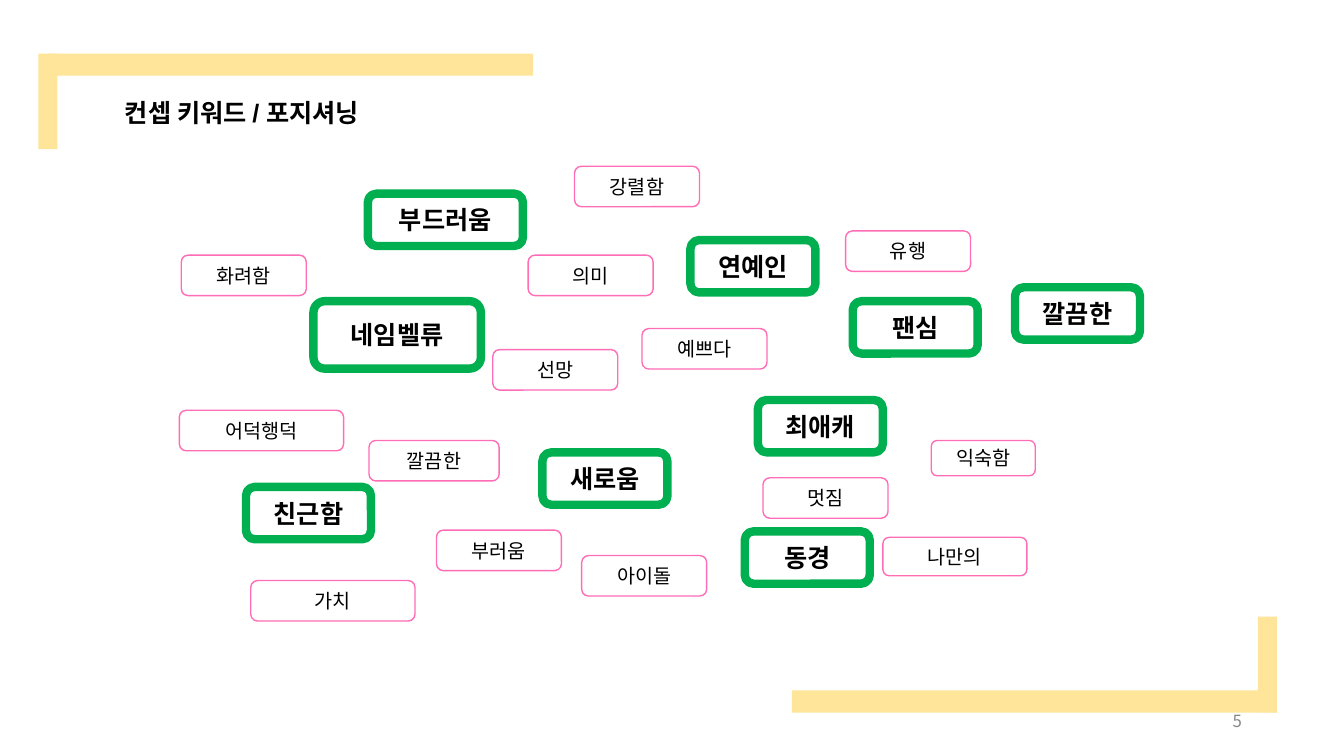
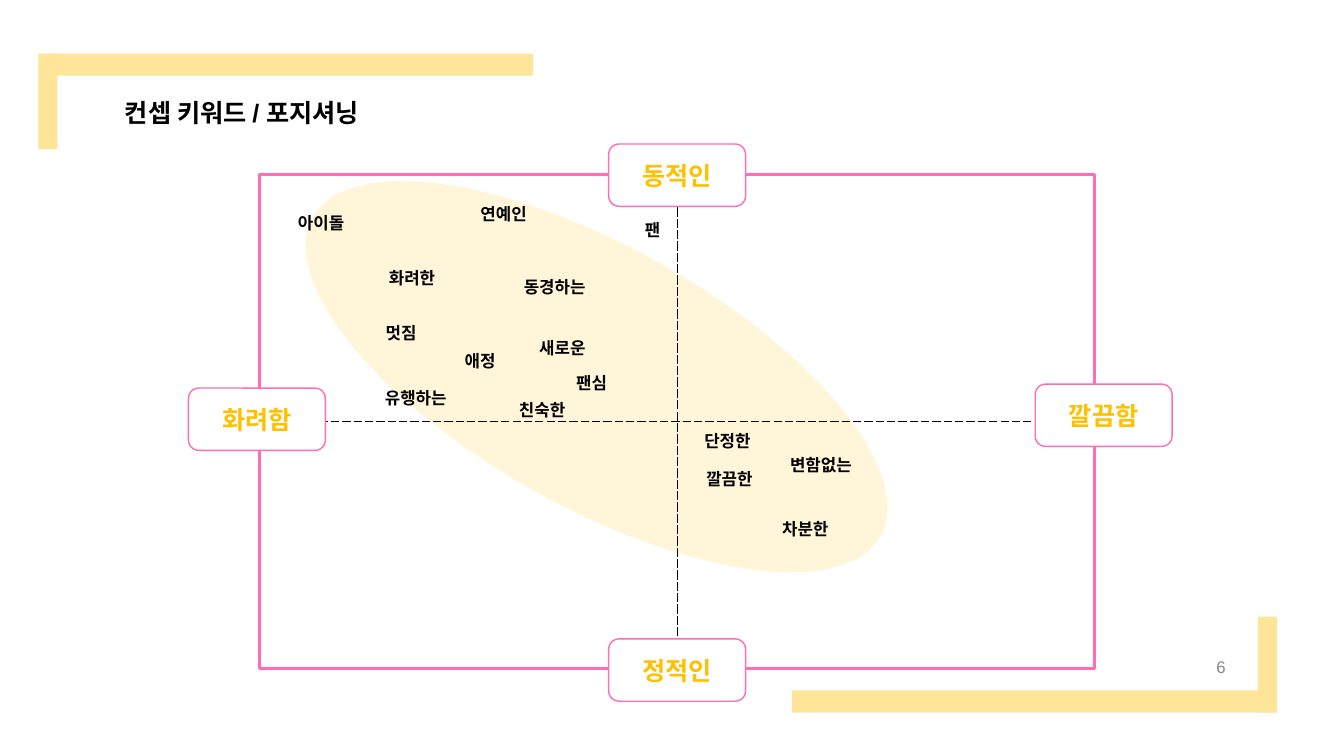
from lxml import etree
from pptx import Presentation
from pptx.dml.color import RGBColor
from pptx.enum.dml import MSO_LINE as Dash
from pptx.enum.shapes import MSO_CONNECTOR as Link, MSO_SHAPE as Kind
from pptx.enum.text import MSO_ANCHOR as Anchor, PP_ALIGN as Align
from pptx.oxml.ns import qn
from pptx.util import Cm, Pt

CREAM = RGBColor(0xFE, 0xE5, 0x99)
PINK = RGBColor(0xFF, 0x6D, 0xB6)
GREEN = RGBColor(0x00, 0xB0, 0x50)
GOLD = RGBColor(0xFF, 0xC0, 0x00)
GREY = RGBColor(0x88, 0x88, 0x88)
BLACK = RGBColor(0x00, 0x00, 0x00)
WHITE = RGBColor(0xFF, 0xFF, 0xFF)
LATIN = "Arial"
HANGUL = "Noto Sans CJK KR"


def draw(slide, kind, box, fill=None, line=None, width=1):
    shape = slide.shapes.add_shape(kind, *map(Cm, box))
    shape.shadow.inherit = False
    if fill is None:
        shape.fill.background()
    else:
        shape.fill.solid()
        shape.fill.fore_color.rgb = fill
    if line is None:
        shape.line.fill.background()
    else:
        shape.line.color.rgb = line
        shape.line.width = Pt(width)
    return shape


def write(shape, text, size, bold=True, color=BLACK, align=Align.CENTER, face=LATIN):
    frame = shape.text_frame
    frame.word_wrap = True
    frame.text = text
    frame.paragraphs[0].alignment = align
    run = frame.paragraphs[0].runs[0]
    run.font.name = face
    run.font.size = Pt(size)
    run.font.bold = bold
    run.font.color.rgb = color
    etree.SubElement(run.font._element, qn("a:ea"), typeface=HANGUL)


deck = Presentation()
deck.slide_width = Cm(33.87)
deck.slide_height = Cm(19.05)

BANDS = [
    (0.97, 1.35, 0.48, 2.41),
    (1.22, 1.35, 12.22, 0.56),
    (31.7, 15.54, 0.48, 2.41),
    (19.96, 17.4, 12.22, 0.56),
]
PAGES = [
    ("5", (23.93, 17.65, 7.62, 1.02), HANGUL),
    ("6", (29.57, 16.23, 1.57, 1.17), LATIN),
]
slides = []
for page, spot, face in PAGES:
    slide = deck.slides.add_slide(deck.slide_layouts[6])
    slides.append(slide)
    for band in BANDS:
        draw(slide, Kind.RECTANGLE, band, CREAM)
    title = slide.shapes.add_textbox(Cm(2.9), Cm(2.34), Cm(7.95), Cm(1.02))
    write(title, "컨셉 키워드 / 포지셔닝", 18, align=Align.LEFT)
    number = slide.shapes.add_textbox(*map(Cm, spot))
    number.text_frame.vertical_anchor = Anchor.MIDDLE
    write(number, page, 12, False, GREY, Align.RIGHT, face)

cloud, chart = slides

MINOR = [
    ("화려함", 4.57, 6.43, 3.15, 1.02),
    ("어덕행덕", 4.52, 10.34, 4.14, 1.02),
    ("예쁘다", 16.18, 8.28, 3.15, 1.02),
    ("부러움", 11, 13.36, 3.15, 1.02),
    ("강렬함", 14.48, 4.19, 3.15, 1.02),
    ("멋짐", 19.23, 12.04, 3.15, 1.02),
    ("선망", 12.42, 8.81, 3.15, 1.02),
    ("나만의", 22.25, 13.54, 3.63, 0.97),
    ("익숙함", 23.47, 11.1, 2.62, 0.89),
    ("의미", 13.31, 6.43, 3.15, 1.02),
    ("가치", 6.32, 14.63, 4.14, 1.02),
    ("아이돌", 14.66, 14, 3.15, 1.02),
    ("유행", 21.31, 5.82, 3.15, 1.02),
    ("깔끔한", 9.3, 11.1, 3.28, 1.02),
]
for text, *box in MINOR:
    pill = draw(cloud, Kind.ROUNDED_RECTANGLE, box, WHITE, PINK)
    write(pill, text, 14, False)

MAJOR = [
    ("최애캐", 19.1, 10.08, 3.15, 1.32),
    ("동경", 18.77, 13.39, 3.15, 1.32),
    ("팬심", 21.49, 7.59, 3.15, 1.32),
    ("부드러움", 9.27, 4.88, 3.91, 1.32),
    ("친근함", 6.2, 12.27, 3.15, 1.32),
    ("깔끔한", 25.58, 7.24, 3.15, 1.32),
    ("새로움", 13.67, 11.4, 3.15, 1.32),
    ("네임벨류", 7.9, 7.59, 4.22, 1.7),
    ("연예인", 17.4, 6.05, 3.15, 1.32),
]
for text, *box in MAJOR:
    pill = draw(cloud, Kind.ROUNDED_RECTANGLE, box, None, GREEN, 6)
    write(pill, text, 18)

oval = draw(chart, Kind.OVAL, (6.83, 6.22, 16.41, 6.55), GOLD)
oval.rotation = 29.3
tint = oval._element.spPr.find(qn("a:solidFill"))[0]
etree.SubElement(tint, qn("a:alpha"), val="15000")

draw(chart, Kind.RECTANGLE, (6.55, 4.39, 21.03, 12.45), None, PINK, 2.25)

AXES = [
    (17.07, 4.39, 17.07, 16.87),
    (17.07, 16.87, 17.07, 4.39),
    (27.71, 10.62, 6.68, 10.62),
]
for ends in AXES:
    axis = chart.shapes.add_connector(Link.STRAIGHT, *map(Cm, ends))
    axis.line.color.rgb = BLACK
    axis.line.width = Pt(0.75)
    axis.line.dash_style = Dash.LONG_DASH
    etree.SubElement(axis.line._get_or_add_ln(), qn("a:tailEnd"), type="triangle")
    etree.SubElement(axis._element.spPr, qn("a:effectLst"))

POLES = [
    ("동적인", 15.34, 3.63),
    ("정적인", 15.34, 16.1),
    ("화려함", 4.75, 9.78),
    ("깔끔함", 26.09, 9.68),
]
for text, left, top in POLES:
    pole = draw(chart, Kind.ROUNDED_RECTANGLE, (left, top, 3.45, 1.57), WHITE, PINK)
    write(pole, text, 18, color=GOLD)

WORDS = [
    ("멋짐", 9.47, 8),
    ("차분한", 19.46, 12.95),
    ("화려한", 9.55, 6.63),
    ("단정한", 17.5, 10.74),
    ("팬심", 14.27, 9.27),
    ("애정", 11.46, 8.71),
    ("동경하는", 12.95, 6.86),
    ("친숙한", 12.83, 9.96),
    ("연예인", 11.86, 5),
    ("깔끔한", 17.55, 11.68),
    ("유행하는", 9.45, 9.65),
    ("아이돌", 7.26, 5.23),
    ("새로운", 13.34, 8.38),
    ("팬", 16, 5.41),
    ("변함없는", 19.66, 11.33),
]
for text, left, top in WORDS:
    width = 2.36 if len(text) > 3 else 1.98
    word = chart.shapes.add_textbox(Cm(left), Cm(top), Cm(width), Cm(0.76))
    write(word, text, 12, align=Align.LEFT)

deck.save("out.pptx")
